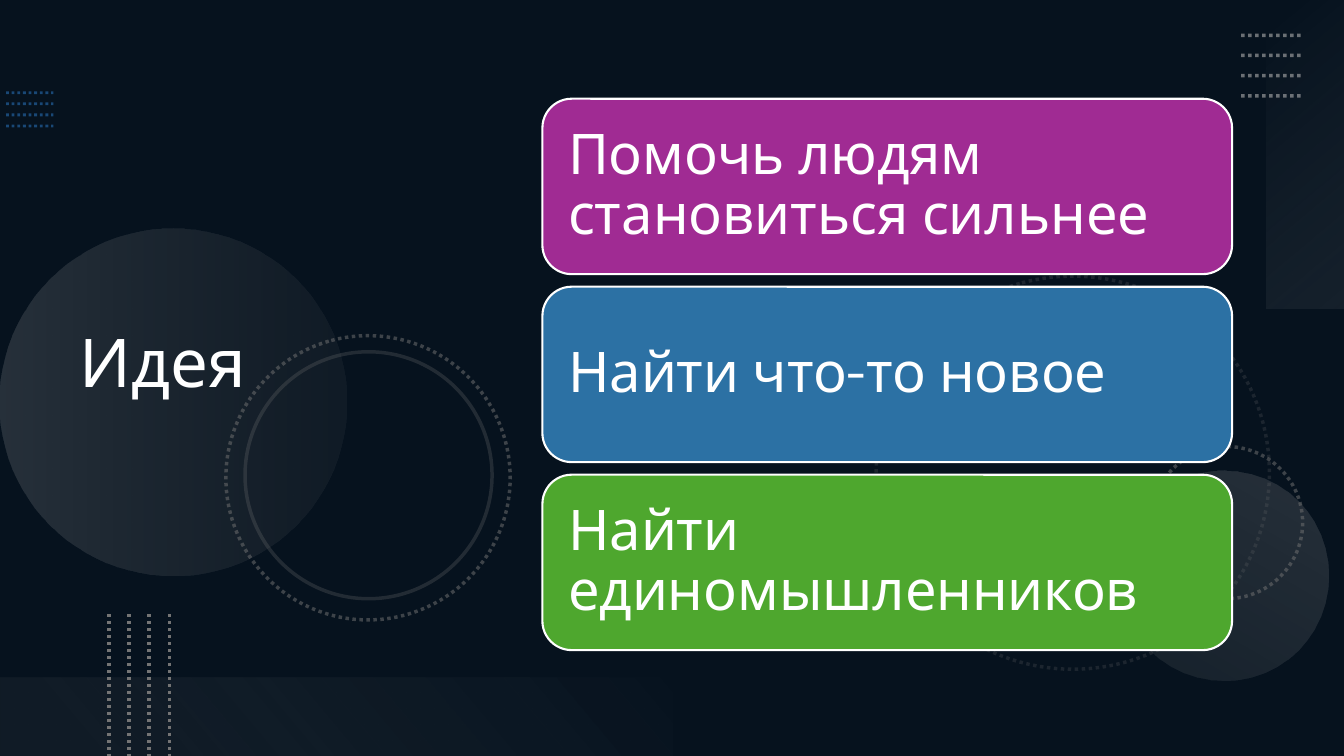
from lxml import etree
from pptx import Presentation
from pptx.dml.color import RGBColor
from pptx.enum import dml, shapes, text
from pptx.oxml.ns import qn
from pptx.util import Inches, Pt

FONT = "Karla"
COLORS = {
    "navy": "0E2841", "black": "000000", "white": "FFFFFF",
    "blue": "2D7FCF", "gray": "747474", "silver": "AEAEAE",
    "pale": "F6F6F6", "mist": "F1F1F1",
    "purple": "A02B93", "steel": "2C71A4", "green": "4EA72E",
}
TITLE = "Идея"
IDEAS = [
    ("Помочь людям становиться сильнее", "purple"),
    ("Найти что-то новое", "steel"),
    ("Найти единомышленников", "green"),
]

# Rings: left, top, diameter, opacity, dotted
RINGS = [
    (8.69, 2.74, 3.9, 20, True),
    (11.41, 4.43, 1.51, 50, True),
    (2.24, 3.33, 2.82, 50, True),
    (2.43, 3.49, 2.45, 25, False),
]
# Glows: shape, box, rotation, gradient angle, stops of (position, color, opacity)
OVAL, RECT = shapes.MSO_SHAPE.OVAL, shapes.MSO_SHAPE.RECTANGLE
GLOWS = [
    (OVAL, (0, 2.27, 3.44, 3.44), 270, 90, [(0, "silver", 20), (1, "gray", 10)]),
    (OVAL, (11.1, 4.67, 2.08, 2.08), 210, 90, [(0, "silver", 10), (1, "silver", 20)]),
    (RECT, (11.42, 1.14, 3.06, 0.78), 270, 140, [(0, "pale", 0), (1, "silver", 10)]),
    (RECT, (0, 6.72, 6.67, 0.78), 180, 140, [(0.1, "gray", 10), (1, "mist", 0)]),
]
# Dotted line sets: first line start, line vector, step to next, color, width, opacity
DOT_SETS = [
    ((0.06, 0.92), (0.47, 0), (0, 0.11), "blue", 2, 50),
    ((12.31, 0.35), (0.6, 0), (0, 0.2), "silver", 2.5, 60),
    ((1.08, 6.09), (0, 1.41), (0.2, 0), "gray", 2.5, 100),
]
LINES_PER_SET = 4
CARD_LEFT, CARD_TOP, CARD_W, CARD_H, CARD_STEP = 5.38, 0.98, 6.84, 1.74, 1.865


def rgb(name):
    return RGBColor.from_string(COLORS[name])


def set_opacity(element, *percents):
    for color, percent in zip(element.iter(qn("a:srgbClr")), percents):
        etree.SubElement(color, qn("a:alpha")).set("val", str(percent * 1000))


def style_line(line, color, width, dotted=False):
    line.color.rgb = rgb(color)
    line.width = Pt(width)
    if dotted:
        line.dash_style = dml.MSO_LINE.ROUND_DOT


def add_shape(kind, box):
    shape = slide.shapes.add_shape(kind, *map(Inches, box))
    shape.shadow.inherit = False
    return shape


def style_text(frame, size):
    frame.word_wrap = True
    frame.auto_size = text.MSO_AUTO_SIZE.NONE
    frame.vertical_anchor = text.MSO_ANCHOR.MIDDLE
    paragraph = frame.paragraphs[0]
    paragraph.alignment = text.PP_ALIGN.LEFT
    paragraph.line_spacing = 0.9
    font = paragraph.runs[0].font
    font.name, font.size = FONT, Pt(size)
    font.color.rgb = rgb("white")


prs = Presentation()
prs.slide_width, prs.slide_height = Inches(13.33), Inches(7.5)
slide = prs.slides.add_slide(prs.slide_layouts[5])

# Background with dark veil
slide.background.fill.solid()
slide.background.fill.fore_color.rgb = rgb("navy")
veil = add_shape(RECT, (0, 0, 13.33, 7.5))
veil.fill.solid()
veil.fill.fore_color.rgb = rgb("black")
veil.line.fill.background()
set_opacity(veil.fill._xPr, 53)

# Glowing circles and corner bands
for kind, box, rotation, angle, stops in GLOWS:
    glow = add_shape(kind, box)
    glow.rotation = rotation
    glow.line.fill.background()
    glow.fill.gradient()
    glow.fill.gradient_angle = 360 - angle
    for stop, (position, color, opacity) in zip(glow.fill.gradient_stops, stops):
        stop.position = position
        stop.color.rgb = rgb(color)
    set_opacity(glow.fill._xPr, *(opacity for _, _, opacity in stops))

# Rings
for left, top, diameter, opacity, dotted in RINGS:
    ring = add_shape(OVAL, (left, top, diameter, diameter))
    ring.rotation = 75
    ring.fill.background()
    style_line(ring.line, "gray", 2.5, dotted)
    set_opacity(ring.line._ln, opacity)

# Dotted line sets
for (x, y), (dx, dy), (step_x, step_y), color, width, opacity in DOT_SETS:
    for i in range(LINES_PER_SET):
        x1, y1 = x + i * step_x, y + i * step_y
        dots = slide.shapes.add_connector(
            shapes.MSO_CONNECTOR.STRAIGHT,
            Inches(x1), Inches(y1), Inches(x1 + dx), Inches(y1 + dy))
        style_line(dots.line, color, width, dotted=True)
        set_opacity(dots.line._ln, opacity)
        etree.SubElement(dots._element.spPr, qn("a:effectLst"))

# Title, brought in front of the decoration
title = slide.shapes.title
title.left, title.top, title.width, title.height = map(Inches, (0.69, 0.54, 4.59, 6.17))
title.text_frame.text = TITLE
style_text(title.text_frame, 48)
slide.shapes._spTree.append(title._element)

# Idea cards
for i, (idea, color) in enumerate(IDEAS):
    card = add_shape(shapes.MSO_SHAPE.ROUNDED_RECTANGLE,
                     (CARD_LEFT, CARD_TOP + i * CARD_STEP, CARD_W, CARD_H))
    card.fill.solid()
    card.fill.fore_color.rgb = rgb(color)
    style_line(card.line, "white", 1.5)
    frame = card.text_frame
    frame.margin_left = frame.margin_right = Inches(0.17)
    frame.margin_top = frame.margin_bottom = Inches(0.17)
    frame.text = idea
    style_text(frame, 40)
    frame.paragraphs[0].space_after = Pt(14)

prs.save("out.pptx")
